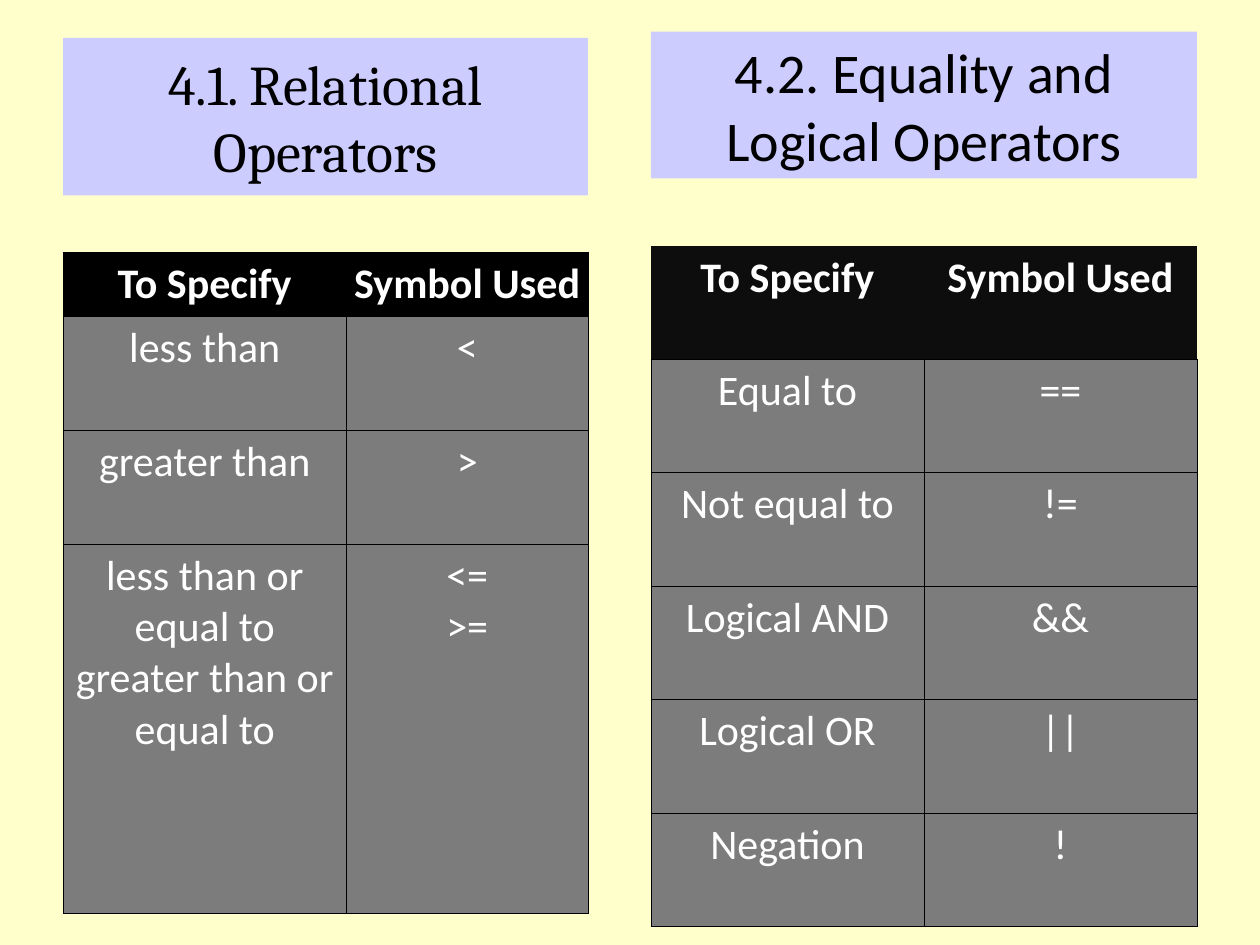
from dataclasses import dataclass

import lxml.etree
import pptx
import pptx.dml.color
import pptx.enum.text
import pptx.oxml
import pptx.oxml.ns
import pptx.util

Pt = pptx.util.Pt
CENTER = pptx.enum.text.PP_ALIGN.CENTER
BODY_FONT = "Calibri"
BLACK = "000000"
WHITE = "FFFFFF"
BODY_GRAY = "7C7C7C"
BANNER_LILAC = "CCCCFF"


@dataclass(frozen=True)
class Bounds:
    left: float
    top: float
    width: float
    height: float


@dataclass(frozen=True)
class OperatorTable:
    bounds: Bounds
    column_widths: list[float]
    row_heights: list[float]
    side_margin: float
    header_fill: str
    header_sides: str
    rows: list[tuple[str, str]]


HEADINGS = ("To Specify", "Symbol Used")
RELATIONAL = OperatorTable(
    Bounds(36, 144, 300, 378),
    [162, 138],
    [36.5, 65.25, 65.25, 211],
    1.5,
    BLACK,
    "LRTB",
    [
        HEADINGS,
        ("less than", "<"),
        ("greater than", ">"),
        ("less than or equal to\ngreater than or equal to", "<=\n>="),
    ],
)
LOGICAL = OperatorTable(
    Bounds(372, 140.5, 312, 388.8),
    [156, 156],
    [64.8] * 6,
    7.2,
    "0D0D0D",
    "B",
    [
        HEADINGS,
        ("Equal to", "=="),
        ("Not equal to", "!="),
        ("Logical AND", "&&"),
        ("Logical OR", "||"),
        ("Negation", "!"),
    ],
)


def color(value: str) -> pptx.dml.color.RGBColor:
    return pptx.dml.color.RGBColor.from_string(value)


def paint(fill, value: str) -> None:
    fill.solid()
    fill.fore_color.rgb = color(value)


def write(frame, text: str, font: str, size: float, ink: str, bold: bool = False) -> None:
    frame.text = text
    frame.word_wrap = True
    for para in frame.paragraphs:
        para.alignment = CENTER
        for span in para.runs:
            span.font.name = font
            span.font.size = Pt(size)
            span.font.bold = bold
            span.font.color.rgb = color(ink)


def set_borders(cell, sides: str) -> None:
    properties = cell._tc.get_or_add_tcPr()
    namespace = pptx.oxml.ns.nsdecls("a")
    for index, side in enumerate("LRTB"):
        width = f'w="{Pt(0.45)}"' if side in sides else 'w="0"'
        paint_xml = (
            f'<a:solidFill><a:srgbClr val="{BLACK}"/></a:solidFill>'
            if side in sides
            else "<a:noFill/>"
        )
        line = pptx.oxml.parse_xml(f"<a:ln{side} {namespace} {width}>{paint_xml}</a:ln{side}>")
        properties.insert(index, line)


def format_banner(box, bounds: Bounds, text: str, font: str) -> None:
    box.left, box.top = Pt(bounds.left), Pt(bounds.top)
    box.width, box.height = Pt(bounds.width), Pt(bounds.height)
    paint(box.fill, BANNER_LILAC)
    write(box.text_frame, text, font, 32, BLACK)
    box.text_frame.auto_size = pptx.enum.text.MSO_AUTO_SIZE.NONE
    box.text_frame.vertical_anchor = pptx.enum.text.MSO_ANCHOR.MIDDLE


def draw_table(page, design: OperatorTable) -> None:
    bounds = design.bounds
    table = page.shapes.add_table(
        len(design.rows),
        len(design.column_widths),
        Pt(bounds.left),
        Pt(bounds.top),
        Pt(bounds.width),
        Pt(bounds.height),
    ).table
    table.horz_banding = False
    for column, width in zip(table.columns, design.column_widths):
        column.width = Pt(width)
    for row_index, (row, height) in enumerate(zip(table.rows, design.row_heights)):
        row.height = Pt(height)
        header = row_index == 0
        for cell, text in zip(row.cells, design.rows[row_index]):
            cell.margin_left = cell.margin_right = Pt(design.side_margin)
            cell.margin_top = cell.margin_bottom = Pt(3.6)
            paint(cell.fill, design.header_fill if header else BODY_GRAY)
            set_borders(cell, design.header_sides if header else "LRTB")
            write(cell.text_frame, text, BODY_FONT, 24, WHITE, header)


def main() -> None:
    deck = pptx.Presentation()
    deck.slide_width, deck.slide_height = Pt(720), Pt(540)
    page = deck.slides.add_slide(deck.slide_layouts.get_by_name("Title Only"))
    paint(page.background.fill, "FFFFCC")
    format_banner(
        page.shapes.title, Bounds(36, 21.6, 300, 90), "4.1. Relational Operators", "Cambria"
    )
    draw_table(page, RELATIONAL)
    draw_table(page, LOGICAL)
    logical_banner = page.shapes.add_textbox(0, 0, 0, 0)
    format_banner(
        logical_banner,
        Bounds(372, 18, 312, 84),
        "4.2. Equality and Logical Operators",
        BODY_FONT,
    )
    deck.save("out.pptx")


if __name__ == "__main__":
    main()
